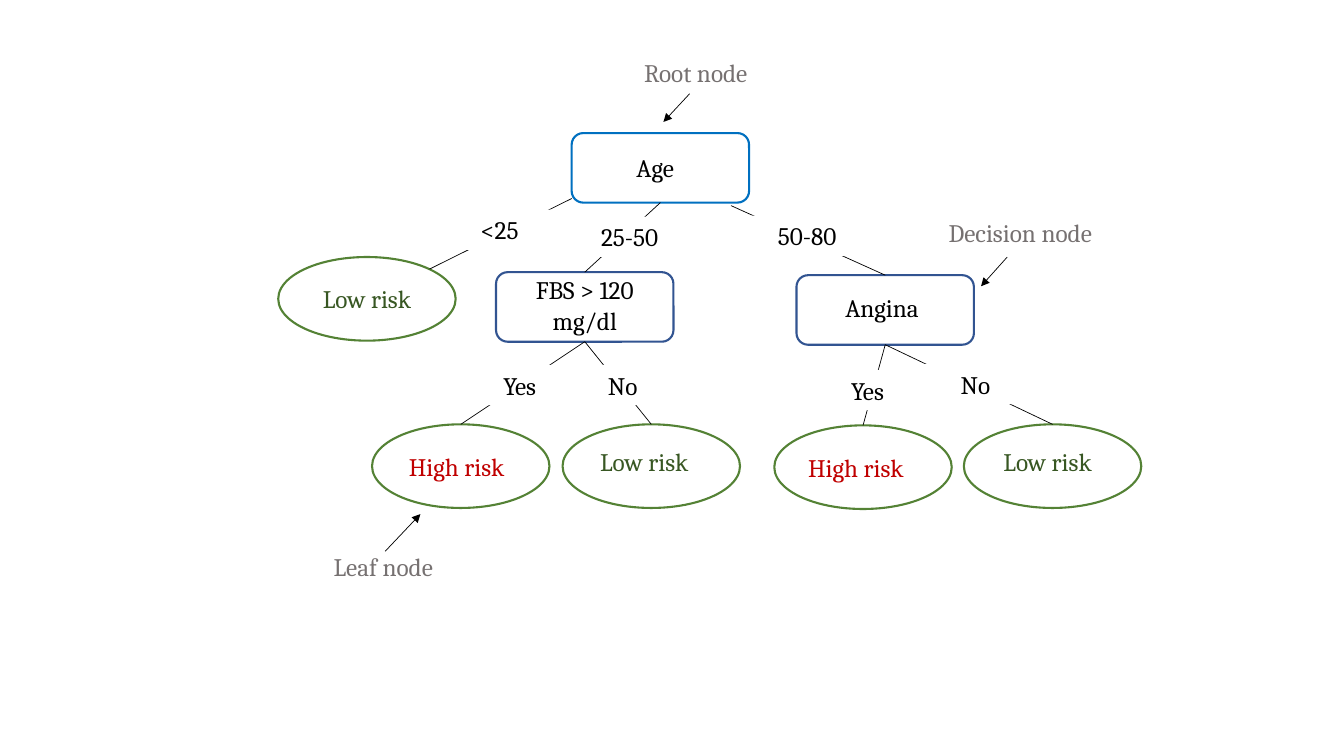
from lxml import etree
from pptx import Presentation
from pptx.dml.color import RGBColor
from pptx.enum.shapes import MSO_CONNECTOR, MSO_SHAPE
from pptx.enum.text import MSO_ANCHOR, PP_ALIGN
from pptx.oxml.ns import qn
from pptx.util import Inches, Pt

STRAIGHT = MSO_CONNECTOR.STRAIGHT
ROUNDED, OVAL, RECTANGLE = MSO_SHAPE.ROUNDED_RECTANGLE, MSO_SHAPE.OVAL, MSO_SHAPE.RECTANGLE
LEFT, CENTER = PP_ALIGN.LEFT, PP_ALIGN.CENTER
MIDDLE = MSO_ANCHOR.MIDDLE

FONT = "Cambria"
BLACK, WHITE, GREY = "000000", "FFFFFF", "767171"
ROOT_BLUE, DECISION_BLUE, LEAF_GREEN = "0070C0", "325491", "548235"
RISK_COLORS = {"Low risk": "385723", "High risk": "C00000"}
NODE_WIDTH, DECISION_HEIGHT, LEAF_HEIGHT = 1.76, 0.69, 0.83
LABEL_WIDTH, LABEL_HEIGHT = 1.39, 0.4
TOP_SITE, BOTTOM_SITE = 0, 2


def color(hex_string):
    return RGBColor.from_string(hex_string)


def write(shape, text, ink=BLACK, align=CENTER, inset=0.1, shift=(0, 0)):
    frame = shape.text_frame
    frame.word_wrap = True
    frame.vertical_anchor = MIDDLE
    dx, dy = shift
    frame.margin_left = Inches(inset + max(2 * dx, 0))
    frame.margin_right = Inches(inset + max(-2 * dx, 0))
    frame.margin_top = Inches(max(2 * dy, 0))
    frame.margin_bottom = Inches(max(-2 * dy, 0))
    paragraph = frame.paragraphs[0]
    paragraph.alignment = align
    run = paragraph.add_run()
    run.text = text
    run.font.name = FONT
    run.font.size = Pt(18)
    run.font.color.rgb = color(ink)


def add_line(slide, start, end, arrow=False):
    line = slide.shapes.add_connector(STRAIGHT, *map(Inches, (*start, *end)))
    line.line.color.rgb = color(BLACK)
    line.line.width = Pt(0.5)
    properties = line._element.spPr
    if arrow:
        etree.SubElement(properties.find(qn("a:ln")), qn("a:tailEnd"), type="triangle")
    etree.SubElement(properties, qn("a:effectLst"))
    return line


def add_node(slide, kind, left, top, height, text, outline, **text_format):
    node = slide.shapes.add_shape(kind, *map(Inches, (left, top, NODE_WIDTH, height)))
    node.shadow.inherit = False
    node.fill.background()
    node.line.color.rgb = color(outline)
    node.line.width = Pt(1.5)
    write(node, text, **text_format)
    return node


def add_decision(slide, left, top, text, outline=DECISION_BLUE, shift=(0, 0)):
    return add_node(slide, ROUNDED, left, top, DECISION_HEIGHT, text, outline, shift=shift)


def add_leaf(slide, left, top, text, shift=(0, 0)):
    return add_node(slide, OVAL, left, top, LEAF_HEIGHT, text, LEAF_GREEN,
                    ink=RISK_COLORS[text], inset=0, shift=shift)


def add_branch_label(slide, left, top, text):
    label = slide.shapes.add_shape(
        RECTANGLE, *map(Inches, (left, top, LABEL_WIDTH, LABEL_HEIGHT)))
    label.shadow.inherit = False
    label.fill.solid()
    label.fill.fore_color.rgb = color(WHITE)
    label.line.fill.background()
    write(label, text)


def join(slide, parent, child):
    branch = add_line(slide, (0, 0), (1, 1))
    branch.begin_connect(parent, BOTTOM_SITE)
    branch.end_connect(child, TOP_SITE)


def add_subtree(slide, left, top, question, shift, leaves):
    decision = add_decision(slide, left, top, question, shift=shift)
    for risk, (dx, dy), text_shift, _, _ in leaves:
        join(slide, decision, add_leaf(slide, left + dx, top + dy, risk, text_shift))
    for _, _, _, answer, (dx, dy) in leaves:
        add_branch_label(slide, left + dx, top + dy, answer)
    return decision


def add_root(slide, left, top):
    age = add_decision(slide, left, top, "Age", ROOT_BLUE, shift=(-0.05, 0))
    add_leaf(slide, left - 2.91, top + 1.23, "Low risk")
    blood_sugar = add_subtree(
        slide, left - 0.75, top + 1.38, "FBS > 120 mg/dl", (0, -0.02),
        [("High risk", (-1.23, 1.51), (-0.04, 0), "Yes", (-0.46, 0.92)),
         ("Low risk", (0.66, 1.51), (-0.07, -0.05), "No", (0.56, 0.92))])
    angina = add_subtree(
        slide, left + 2.23, top + 1.41, "Angina", (-0.03, -0.03),
        [("High risk", (-0.22, 1.49), (-0.07, 0), "Yes", (0.01, 0.94)),
         ("Low risk", (1.66, 1.48), (-0.05, -0.05), "No", (1.08, 0.88))])
    add_line(slide, (left, top + 0.65), (left - 1.41, top + 1.35))
    join(slide, age, blood_sugar)
    old_age = add_line(slide, (left + 1.58, top + 0.72), (left + 3.1, top + 1.41))
    old_age.end_connect(angina, TOP_SITE)
    for ages, dx, dy in (("<25", -1.41, 0.76), ("25-50", -0.12, 0.83), ("50-80", 1.64, 0.82)):
        add_branch_label(slide, left + dx, top + dy, ages)


def add_callout(slide, left, top, text, start, end):
    caption = slide.shapes.add_textbox(*map(Inches, (left, top, NODE_WIDTH, LABEL_HEIGHT)))
    write(caption, text, ink=GREY, align=LEFT)
    tail, tip = [(left + dx, top + dy) for dx, dy in (start, end)]
    add_line(slide, tail, tip, arrow=True)


def main():
    presentation = Presentation()
    presentation.slide_width = Inches(13.33)
    presentation.slide_height = Inches(7.5)
    slide = presentation.slides.add_slide(presentation.slide_layouts.get_by_name("Blank"))
    add_root(slide, 5.67, 1.32)
    add_callout(slide, 6.29, 0.52, "Root node", (0.55, 0.41), (0.29, 0.69))
    add_callout(slide, 9.31, 2.11, "Decision node", (0.68, 0.44), (0.42, 0.73))
    add_callout(slide, 3.21, 5.42, "Leaf node", (0.61, 0.05), (0.96, -0.32))
    presentation.save("out.pptx")


main()
